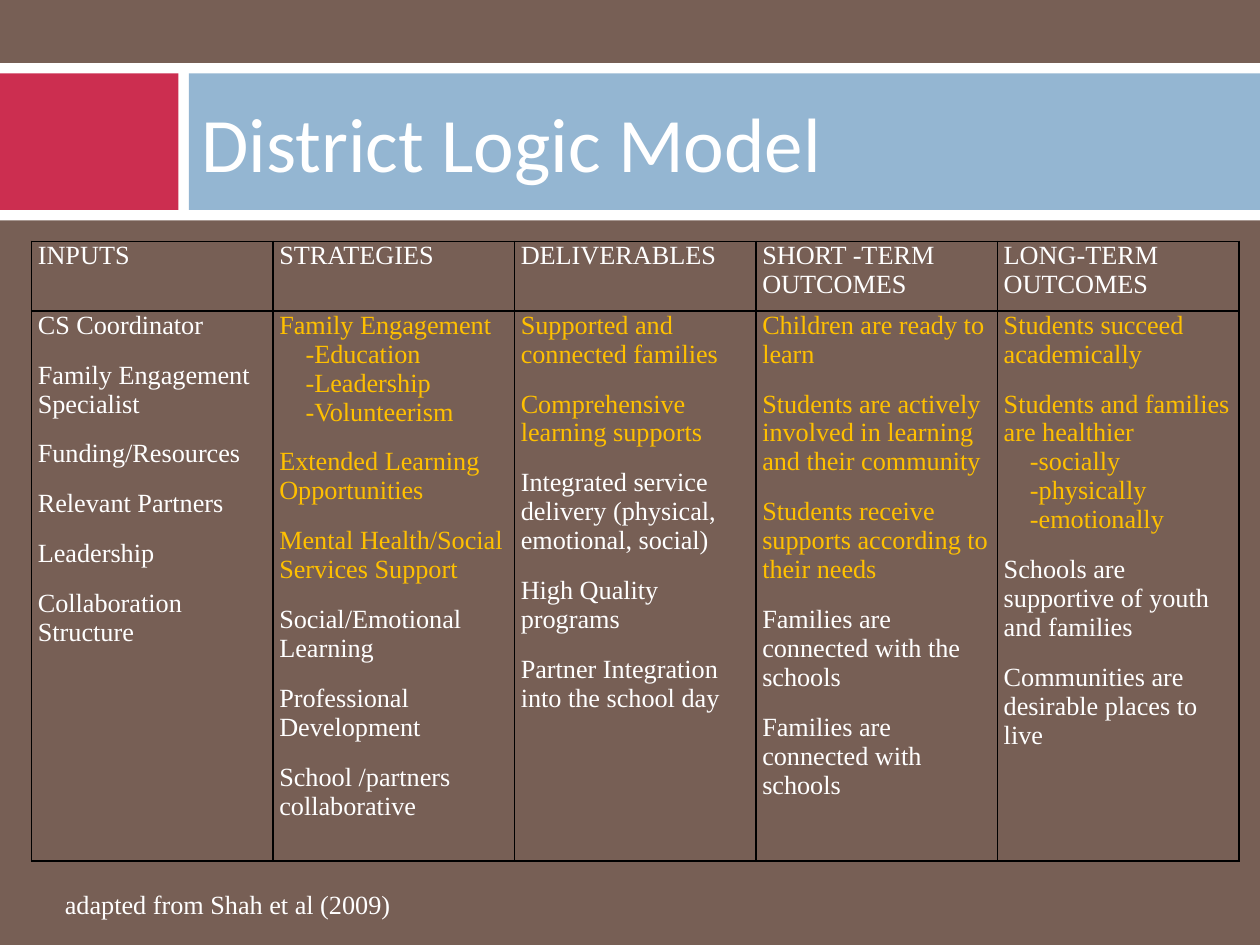
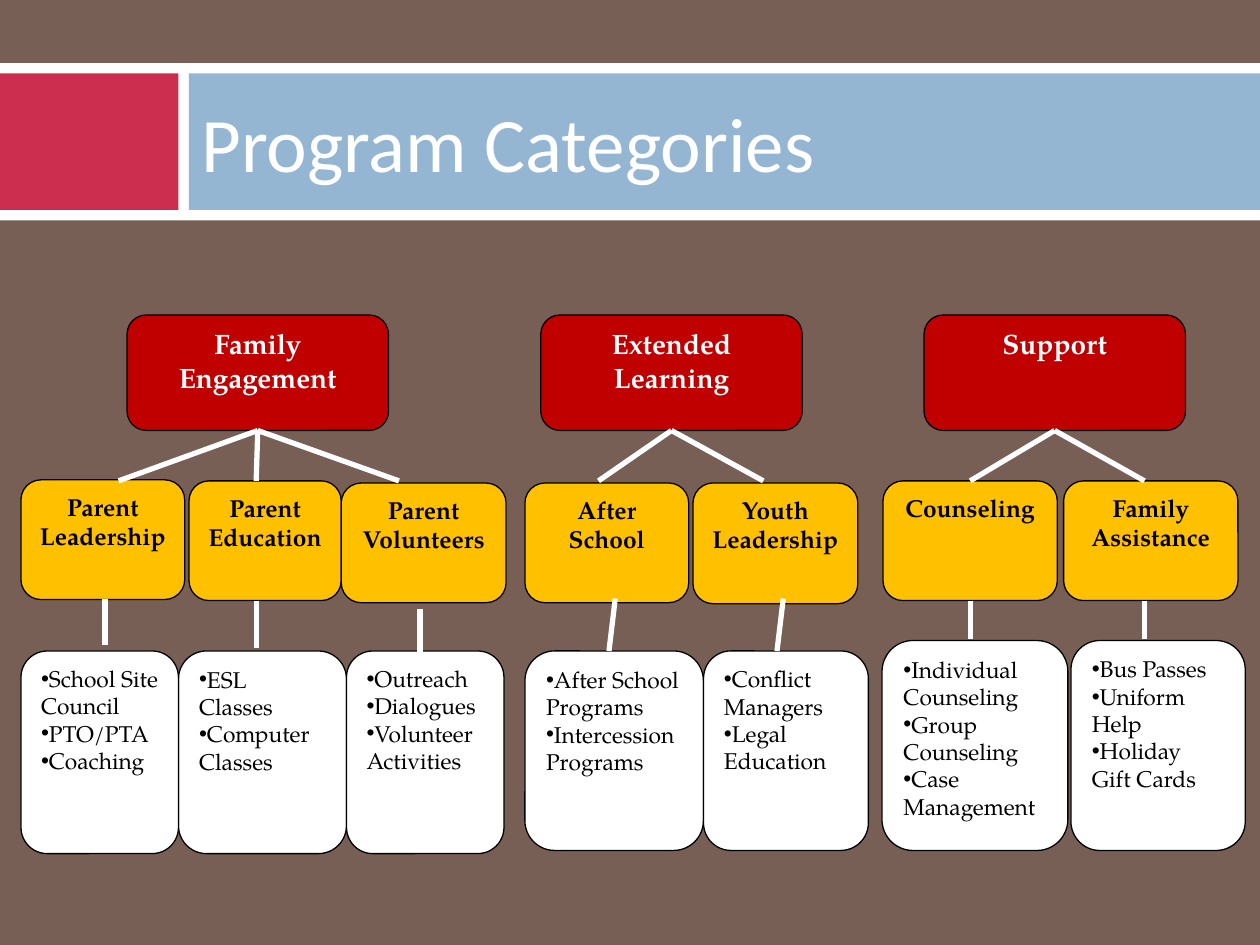
from typing import NamedTuple, Optional, Union

from lxml.etree import SubElement
from pptx import Presentation
from pptx.dml.color import RGBColor
from pptx.enum.shapes import MSO_CONNECTOR, MSO_SHAPE
from pptx.enum.text import MSO_ANCHOR, PP_ALIGN
from pptx.oxml.ns import qn
from pptx.shapes.autoshape import Shape
from pptx.slide import Slide
from pptx.table import _Cell
from pptx.util import Inches, Pt

WHITE = RGBColor(0xFF, 0xFF, 0xFF)
BLACK = RGBColor(0x00, 0x00, 0x00)
BROWN = RGBColor(0x77, 0x5F, 0x55)
ROSE = RGBColor(0xCC, 0x2E, 0x50)
BLUE = RGBColor(0x94, 0xB6, 0xD2)
RED = RGBColor(0xC0, 0x00, 0x00)
GOLD = RGBColor(0xFF, 0xC0, 0x00)

SANS, SERIF, BOOK = "Calibri", "Times New Roman", "TeX Gyre Pagella"

# The slide is a grid of 120 columns by 90 rows
WIDTH, HEIGHT = Inches(10), Inches(7.5)
UNIT = WIDTH / 120


class Area(NamedTuple):
    x: float
    y: float
    w: float
    h: float


class Point(NamedTuple):
    x: float
    y: float


class Site(NamedTuple):
    shape: Shape
    side: int


class Look(NamedTuple):
    fill: RGBColor
    ink: RGBColor
    size: int
    bold: bool
    bullet: bool


class Column(NamedTuple):
    head: str
    gold: int  # number of leading lines in gold
    lines: list[str]


class Leaf(NamedTuple):
    name: str
    card: Area
    join: Optional[float]  # column where the line from the head lands, None for the middle
    start: Optional[Point]  # None for the middle of the card's lower side
    end: Point
    list_x: float
    list_w: float
    items: list[str]


class Branch(NamedTuple):
    name: str
    x: float
    list_y: float
    list_h: float
    leaves: list[Leaf]


HEAD = Look(RED, WHITE, 16, True, False)
CARD = Look(GOLD, BLACK, 14, True, False)
LIST = Look(WHITE, BLACK, 13, False, True)

BANDS = [
    (Area(0, 6, 120, 15), WHITE),
    (Area(0, 7, 17, 13), ROSE),
    (Area(18, 7, 102, 13), BLUE),
]
TITLE = Area(18, 7, 100, 13)
GRID = Area(3, 23, 115, 59)
HEAD_ROW = 6.6
HEAD_Y, HEAD_W, HEAD_H = 30, 24.9, 11
JOIN_Y = 45.8

COLUMNS = [
    Column("INPUTS", 0, [
        "CS Coordinator", "Family Engagement Specialist", "Funding/Resources",
        "Relevant Partners", "Leadership", "Collaboration Structure"]),
    Column("STRATEGIES", 6, [
        "Family Engagement", "-Education", "-Leadership", "-Volunteerism",
        "Extended Learning Opportunities", "Mental Health/Social Services Support",
        "Social/Emotional Learning", "Professional Development",
        "School /partners collaborative"]),
    Column("DELIVERABLES", 2, [
        "Supported and connected families", "Comprehensive learning supports",
        "Integrated service delivery (physical, emotional, social)",
        "High Quality programs", "Partner Integration into the school day"]),
    Column("SHORT -TERM OUTCOMES", 3, [
        "Children are ready to learn",
        "Students are actively involved in learning and their community",
        "Students receive supports according to their needs",
        "Families are connected with the schools",
        "Families are connected with schools"]),
    Column("LONG-TERM OUTCOMES", 5, [
        "Students succeed academically", "Students and families are healthier",
        "-socially", "-physically", "-emotionally",
        "Schools are supportive of youth and families",
        "Communities are desirable places to live"]),
]

BRANCHES = [
    Branch("Extended Learning", 51.5, 62, 19, [
        Leaf("After School", Area(50, 46, 15.6, 11.4), 57, Point(58.6, 57), Point(58, 62),
             50, 17, ["After School Programs", "Intercession Programs"]),
        Leaf("Youth Leadership", Area(66, 46, 15.7, 11.5), 72.7, Point(74.6, 57), Point(74, 62),
             67, 15.7, ["Conflict Managers", "Legal Education"]),
    ]),
    Branch("Support", 88, 61, 20, [
        Leaf("Counseling", Area(84.1, 45.8, 16.6, 11.4), None, None, Point(92.4, 60.9),
             84, 17.7, ["Individual Counseling", "Group Counseling", "Case Management"]),
        Leaf("Family Assistance", Area(101.3, 45.8, 16.6, 11.4), 109,
             Point(109, 57.2), Point(109, 60.9),
             102, 16.6, ["Bus Passes", "Uniform Help", "Holiday Gift Cards"]),
    ]),
    Branch("Family Engagement", 12.1, 62, 19.3, [
        Leaf("Parent Education", Area(18, 45.8, 14.5, 11.4), 24.4,
             Point(24.4, 57.2), Point(24.4, 61.7),
             17, 16, ["ESL Classes", "Computer Classes"]),
        Leaf("Parent Leadership", Area(2, 45.7, 15.6, 11.4), 11.3, Point(10, 57), Point(10, 61.4),
             2, 15, ["School Site Council", "PTO/PTA", "Coaching"]),
        Leaf("Parent Volunteers", Area(32.5, 46, 15.7, 11.4), 38, Point(40, 58), Point(40, 62.4),
             33, 15, ["Outreach", "Dialogues", "Volunteer Activities"]),
    ]),
]


def span(*units: float) -> list[int]:
    """Turn grid units into slide lengths."""
    return [round(u * UNIT) for u in units]


def style(para, face: str, size: int, ink: RGBColor, bold: bool = False) -> None:
    font = para.font
    font.name, font.size, font.bold = face, Pt(size), bold
    font.color.rgb = ink


def label(slide: Slide, area: Area, text: str, face: str, size: int) -> Shape:
    box = slide.shapes.add_textbox(*span(*area))
    box.text_frame.word_wrap = True
    box.text_frame.text = text
    style(box.text_frame.paragraphs[0], face, size, WHITE)
    return box


def block(slide: Slide, kind: MSO_SHAPE, area: Area, fill: RGBColor) -> Shape:
    shape = slide.shapes.add_shape(kind, *span(*area))
    shape.shadow.inherit = False
    shape.fill.solid()
    shape.fill.fore_color.rgb = fill
    shape.line.fill.background()
    return shape


def frame(deck, title: str) -> Slide:
    """Add a slide with the shared background, bands and title."""
    slide = deck.slides.add_slide(deck.slide_layouts[6])
    slide.background.fill.solid()
    slide.background.fill.fore_color.rgb = BROWN
    for area, fill in BANDS:
        block(slide, MSO_SHAPE.RECTANGLE, area, fill)
    head = label(slide, TITLE, title, SANS, 44)
    head.text_frame.vertical_anchor = MSO_ANCHOR.MIDDLE
    return slide


def card(slide: Slide, area: Area, look: Look, lines: list[str]) -> Shape:
    shape = block(slide, MSO_SHAPE.ROUNDED_RECTANGLE, area, look.fill)
    shape.line.color.rgb = BLACK
    shape.line.width = Pt(0.75)
    text = shape.text_frame
    text.word_wrap = True
    text.vertical_anchor = MSO_ANCHOR.TOP
    text.text = "\n".join(lines)
    for para in text.paragraphs:
        style(para, BOOK, look.size, look.ink, look.bold)
        para.alignment = PP_ALIGN.LEFT if look.bullet else PP_ALIGN.CENTER
        if look.bullet:
            props = para._p.get_or_add_pPr()
            SubElement(props, qn("a:buFont"), typeface="Arial")
            SubElement(props, qn("a:buChar"), char="•")
    return shape


def link(slide: Slide, start: Union[Point, Site], end: Union[Point, Site]) -> None:
    ends = [p if isinstance(p, Point) else Point(0, 0) for p in (start, end)]
    line = slide.shapes.add_connector(MSO_CONNECTOR.STRAIGHT, *span(*ends[0], *ends[1]))
    if isinstance(start, Site):
        line.begin_connect(*start)
    if isinstance(end, Site):
        line.end_connect(*end)
    line.line.color.rgb = WHITE
    line.line.width = Pt(3)
    SubElement(line._element.spPr, qn("a:effectLst"))


def fill_cell(cell: _Cell, lines: list[str], gold: int = 0, gap: int = 0) -> None:
    """Write lines in a bordered cell; lines that open with a dash are indented."""
    cell.margin_left = cell.margin_right = Inches(0.05)
    cell.margin_top = cell.margin_bottom = 0
    props = cell._tc.get_or_add_tcPr()
    for side in ("lnL", "lnR", "lnT", "lnB"):
        edge = SubElement(props, qn(f"a:{side}"), w=str(Pt(1)))
        paint = SubElement(edge, qn("a:solidFill"))
        SubElement(paint, qn("a:srgbClr"), val=str(BLACK))
    cell.fill.background()
    cell.text_frame.text = "\n".join(lines)
    for i, para in enumerate(cell.text_frame.paragraphs):
        style(para, SERIF, 15, GOLD if i < gold else WHITE)
        if lines[i].startswith("-"):
            para._p.get_or_add_pPr().set("marL", str(Pt(15)))
        listed = i + 1 < len(lines) and lines[i + 1].startswith("-")
        para.space_after = Pt(0 if listed else gap)


def draw_model(deck) -> None:
    slide = frame(deck, "District Logic Model")
    table = slide.shapes.add_table(2, len(COLUMNS), *span(*GRID)).table
    table.first_row = table.horz_banding = False
    for row, high in zip(table.rows, span(HEAD_ROW, GRID.h - HEAD_ROW)):
        row.height = high
    for i, col in enumerate(COLUMNS):
        fill_cell(table.cell(0, i), [col.head])
        fill_cell(table.cell(1, i), col.lines, col.gold, 12)
    label(slide, Area(5, 84, 85, 4.2), "adapted from Shah et al (2009)", SERIF, 15)


def draw_branch(slide: Slide, branch: Branch) -> None:
    head = card(slide, Area(branch.x, HEAD_Y, HEAD_W, HEAD_H), HEAD, [branch.name])
    cards = [card(slide, leaf.card, CARD, [leaf.name]) for leaf in branch.leaves]
    for leaf in branch.leaves:
        area = Area(leaf.list_x, branch.list_y, leaf.list_w, branch.list_h)
        card(slide, area, LIST, leaf.items)
    for leaf, shape in zip(branch.leaves, cards):
        top = Site(shape, 0) if leaf.join is None else Point(leaf.join, JOIN_Y)
        link(slide, Site(head, 2), top)
        link(slide, leaf.start or Site(shape, 2), leaf.end)


def main() -> None:
    deck = Presentation()
    deck.slide_width, deck.slide_height = WIDTH, HEIGHT
    draw_model(deck)
    slide = frame(deck, "Program Categories")
    for branch in BRANCHES:
        draw_branch(slide, branch)
    deck.save("out.pptx")


if __name__ == "__main__":
    main()
